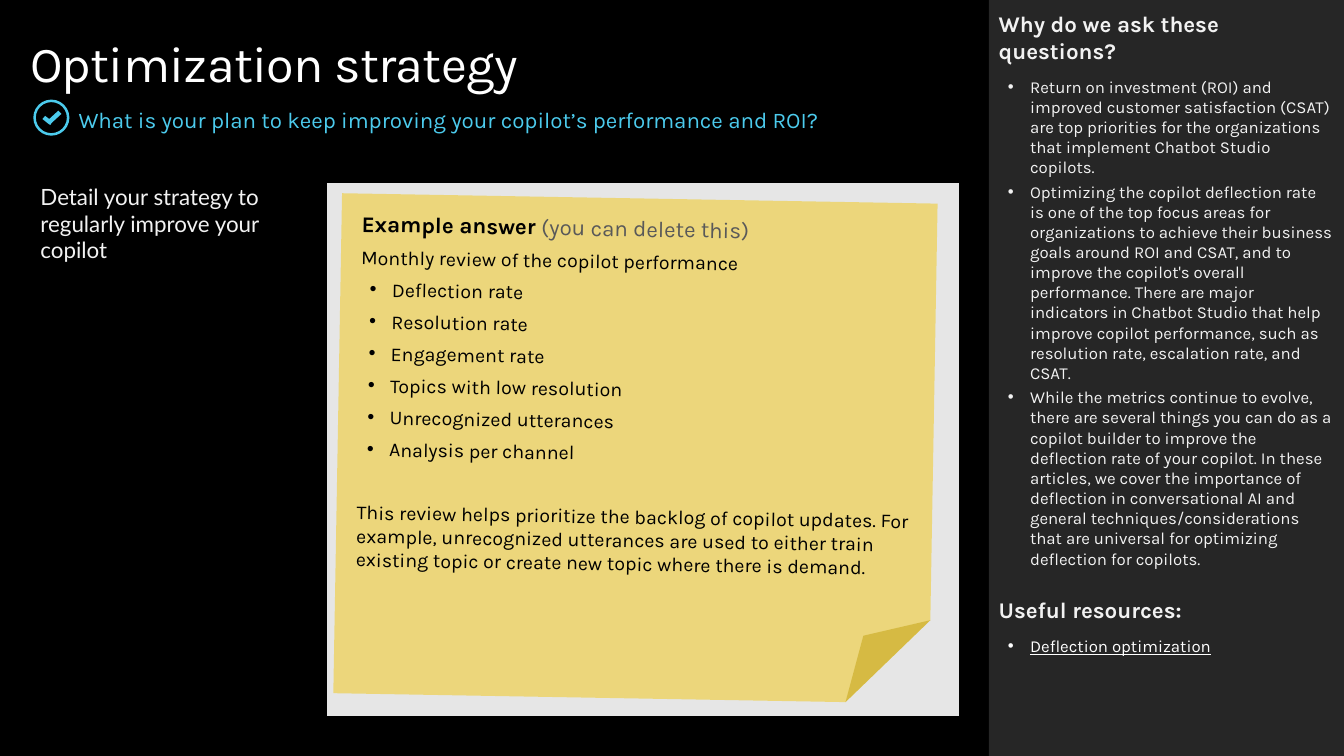
from dataclasses import dataclass, replace

from lxml import etree
from pptx import Presentation
from pptx import util as u
from pptx.dml import color
from pptx.enum import shapes, text
from pptx.oxml import ns

COLORS = {
    "black": "000000", "white": "FFFFFF", "sidebar": "262626", "accent": "4CCBED",
    "pale": "F2F2F2", "panel": "E6E6E6", "note": "F2C811", "hint": "595959",
}
NO_GRID_STYLE = "{2D5ABB26-0587-4C30-8999-92F81FD0307C}"


@dataclass(frozen=True)
class Span:
    words: str
    size: float
    color: str
    bold: bool = False
    underline: bool = False
    font: str = "Karla"
    tracking: int = 0


@dataclass(frozen=True)
class Para:
    spans: tuple[Span, ...]
    before: float = 0
    after: float = 0
    bullet: bool = False


@dataclass(frozen=True)
class TextBlock:
    left: float
    top: float
    width: float
    height: float
    paras: tuple[Para, ...]
    inset: float = 0
    anchor: text.MSO_ANCHOR = text.MSO_ANCHOR.TOP


def rgb(name: str) -> color.RGBColor:
    return color.RGBColor.from_string(COLORS[name])


def add_xml(parent, tag: str, **attributes: str):
    return etree.SubElement(parent, ns.qn(tag), attributes)


def write(frame, paras: tuple[Para, ...]) -> None:
    for index, item in enumerate(paras):
        para = frame.add_paragraph() if index else frame.paragraphs[0]
        para.alignment = text.PP_ALIGN.LEFT
        para.space_before = u.Pt(item.before)
        para.space_after = u.Pt(item.after)
        if item.bullet:
            properties = para._p.get_or_add_pPr()
            properties.set("marL", str(u.Cm(0.79)))
            properties.set("indent", str(u.Cm(-0.56)))
            add_xml(properties, "a:buFont", typeface="Arial")
            add_xml(properties, "a:buChar", char="•")
        for piece in item.spans:
            span = para.add_run()
            span.text = piece.words
            span.font.name = piece.font
            span.font.size = u.Pt(piece.size)
            span.font.bold = piece.bold
            span.font.underline = piece.underline
            span.font.color.rgb = rgb(piece.color)
            if piece.tracking:
                span._r.get_or_add_rPr().set("spc", str(piece.tracking))


def set_insets(frame, across: float, down: float) -> None:
    frame.word_wrap = True
    frame.margin_left = frame.margin_right = u.Cm(across)
    frame.margin_top = frame.margin_bottom = u.Cm(down)


def paint(shape, fill: str) -> None:
    shape.shadow.inherit = False
    shape.fill.solid()
    shape.fill.fore_color.rgb = rgb(fill)
    shape.line.fill.background()


def add_shape(page, kind, left: float, top: float, width: float, height: float, fill: str):
    shape = page.shapes.add_shape(kind, u.Cm(left), u.Cm(top), u.Cm(width), u.Cm(height))
    paint(shape, fill)
    return shape


def add_text(page, block: TextBlock) -> None:
    box = page.shapes.add_textbox(
        u.Cm(block.left), u.Cm(block.top), u.Cm(block.width), u.Cm(block.height))
    set_insets(box.text_frame, block.inset, block.inset)
    box.text_frame.vertical_anchor = block.anchor
    write(box.text_frame, block.paras)


def add_check_icon(page) -> None:
    ring = add_shape(page, shapes.MSO_SHAPE.DONUT, 0.84, 2.51, 0.91, 0.91, "accent")
    ring.adjustments[0] = 0.07
    points = [(1.47, 2.79), (1.24, 3.0), (1.14, 2.92), (1.07, 3.0),
              (1.22, 3.12), (1.27, 3.15), (1.3, 3.1), (1.55, 2.87)]
    corners = [(u.Cm(x), u.Cm(y)) for x, y in points]
    builder = page.shapes.build_freeform(*corners[0])
    builder.add_line_segments(corners[1:], close=True)
    paint(builder.convert_to_shape(), "accent")


def add_answer_table(page) -> None:
    widths = (7.21, 15.93)
    frame = page.shapes.add_table(
        1, 2, u.Cm(1.02), u.Cm(4.62), u.Cm(sum(widths)), u.Cm(13.51))
    table = frame.table
    table.first_row = table.horz_banding = False
    table._tbl.tblPr.find(ns.qn("a:tableStyleId")).text = NO_GRID_STYLE
    for column, width in zip(table.columns, widths):
        column.width = u.Cm(width)
    prompt, panel = table.rows[0].cells
    prompt.fill.background()
    panel.fill.solid()
    panel.fill.fore_color.rgb = rgb("panel")
    for cell in (prompt, panel):
        properties = cell._tc.get_or_add_tcPr()
        border = add_xml(properties, "a:lnB", w=str(u.Pt(6)))
        add_xml(add_xml(border, "a:solidFill"), "a:srgbClr", val=COLORS["black"])
        properties.insert(0, border)
    prompt.margin_left = prompt.margin_top = prompt.margin_bottom = 0
    prompt.margin_right = u.Cm(0.25)
    request = "Detail your strategy to regularly improve your copilot"
    write(prompt.text_frame, (Para((Span(request, 16, "pale", font="Lato"),)),))


def add_note(page) -> None:
    note = add_shape(page, shapes.MSO_SHAPE.FOLDED_CORNER, 8.51, 5.0, 15.01, 12.6, "note")
    note.rotation = 1
    tint = note._element.spPr.find(ns.qn("a:solidFill")).find(ns.qn("a:srgbClr"))
    add_xml(tint, "a:alpha", val="50000")
    set_insets(note.text_frame, 0.51, 0.41)
    note.text_frame.vertical_anchor = text.MSO_ANCHOR.TOP
    body = Span("", 14, "black")
    reviews = ("Deflection rate", "Resolution rate", "Engagement rate",
               "Topics with low resolution", "Unrecognized utterances",
               "Analysis per channel")
    summary = ("This review helps prioritize the backlog of copilot updates. For example, "
               "unrecognized utterances are used to either train existing topic or create "
               "new topic where there is demand.")
    write(note.text_frame, (
        Para((Span("Example answer ", 16, "black", bold=True),
              Span("(you can delete this)", 16, "hint")), after=6),
        Para((replace(body, words="Monthly review of the copilot performance"),), after=6),
        *(Para((replace(body, words=review),), after=6, bullet=True) for review in reviews),
        Para((replace(body, words=summary),), before=22.4, after=6),
    ))


def sidebar_paras() -> tuple[Para, ...]:
    reasons = (
        "Return on investment (ROI) and improved customer satisfaction (CSAT) are top "
        "priorities for the organizations that implement Chatbot Studio copilots.",
        "Optimizing the copilot deflection rate is one of the top focus areas for "
        "organizations to achieve their business goals around ROI and CSAT, and to improve "
        "the copilot's overall performance. There are major indicators in Chatbot Studio "
        "that help improve copilot performance, such as resolution rate, escalation rate, "
        "and CSAT.",
        "While the metrics continue to evolve, there are several things you can do as a "
        "copilot builder to improve the deflection rate of your copilot. In these articles, "
        "we cover the importance of deflection in conversational AI and general "
        "techniques/considerations that are universal for optimizing deflection for copilots.",
    )
    heading = Span("Why do we ask these questions?", 16, "pale", bold=True)
    resource = Span("Deflection optimization", 12, "white", underline=True)
    return (
        Para((heading,), after=6),
        *(Para((Span(reason, 12, "pale"),), before=3, bullet=True) for reason in reasons),
        Para((replace(heading, words="Useful resources:"),), before=20, after=6),
        Para((resource,), before=3, bullet=True),
    )


def main() -> None:
    deck = Presentation()
    deck.slide_width, deck.slide_height = u.Cm(33.87), u.Cm(19.05)
    page = deck.slides.add_slide(deck.slide_layouts[6])
    page.background.fill.solid()
    page.background.fill.fore_color.rgb = rgb("black")
    add_shape(page, shapes.MSO_SHAPE.RECTANGLE, 24.92, 0, 8.95, 19.05, "sidebar")
    add_check_icon(page)
    title = Span("Optimization strategy", 36, "white", tracking=-50)
    question = Span("What is your plan to keep improving your copilot’s performance and ROI?",
                    16, "accent")
    for block in (
        TextBlock(0.76, 0.8, 23.39, 1.55, (Para((title,)),)),
        TextBlock(1.98, 2.67, 22.17, 0.69, (Para((question,)),),
                  anchor=text.MSO_ANCHOR.MIDDLE),
        TextBlock(24.92, 0, 8.95, 15.24, sidebar_paras(), inset=0.25),
    ):
        add_text(page, block)
    add_answer_table(page)
    add_note(page)
    deck.save("out.pptx")


if __name__ == "__main__":
    main()
